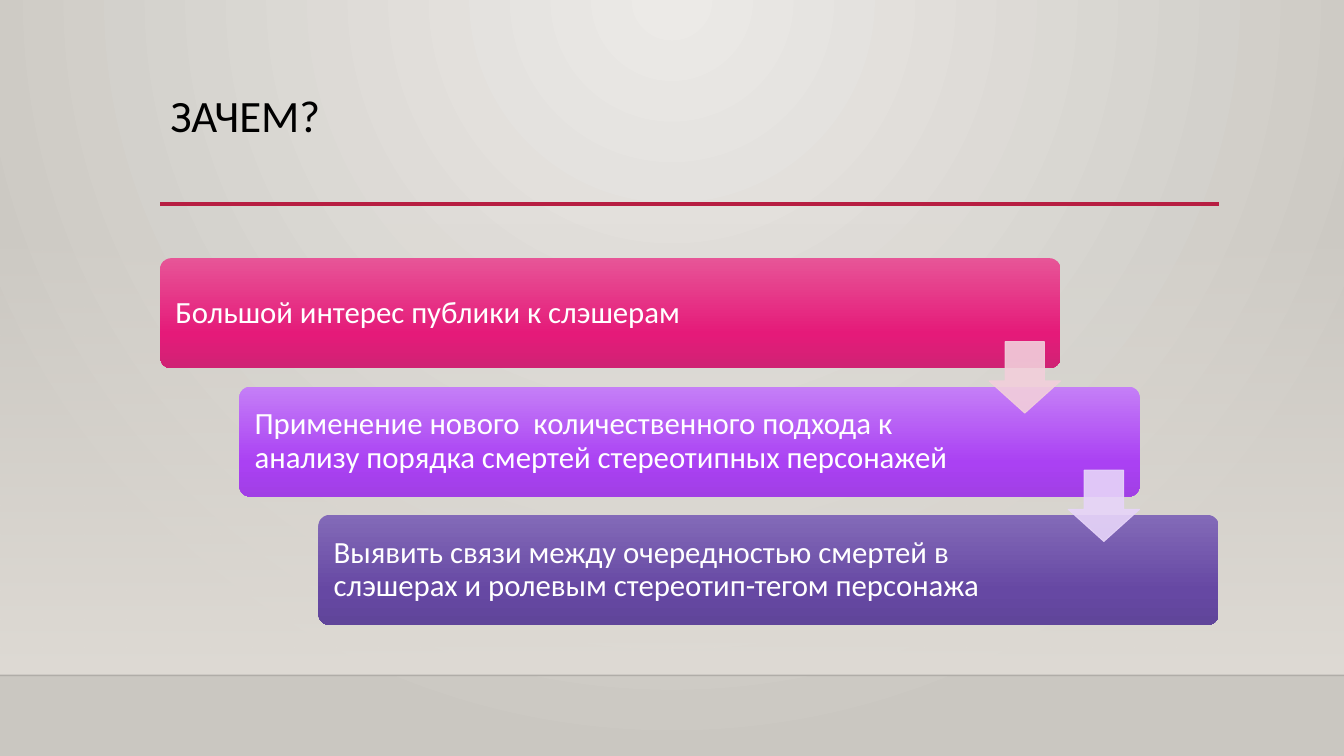
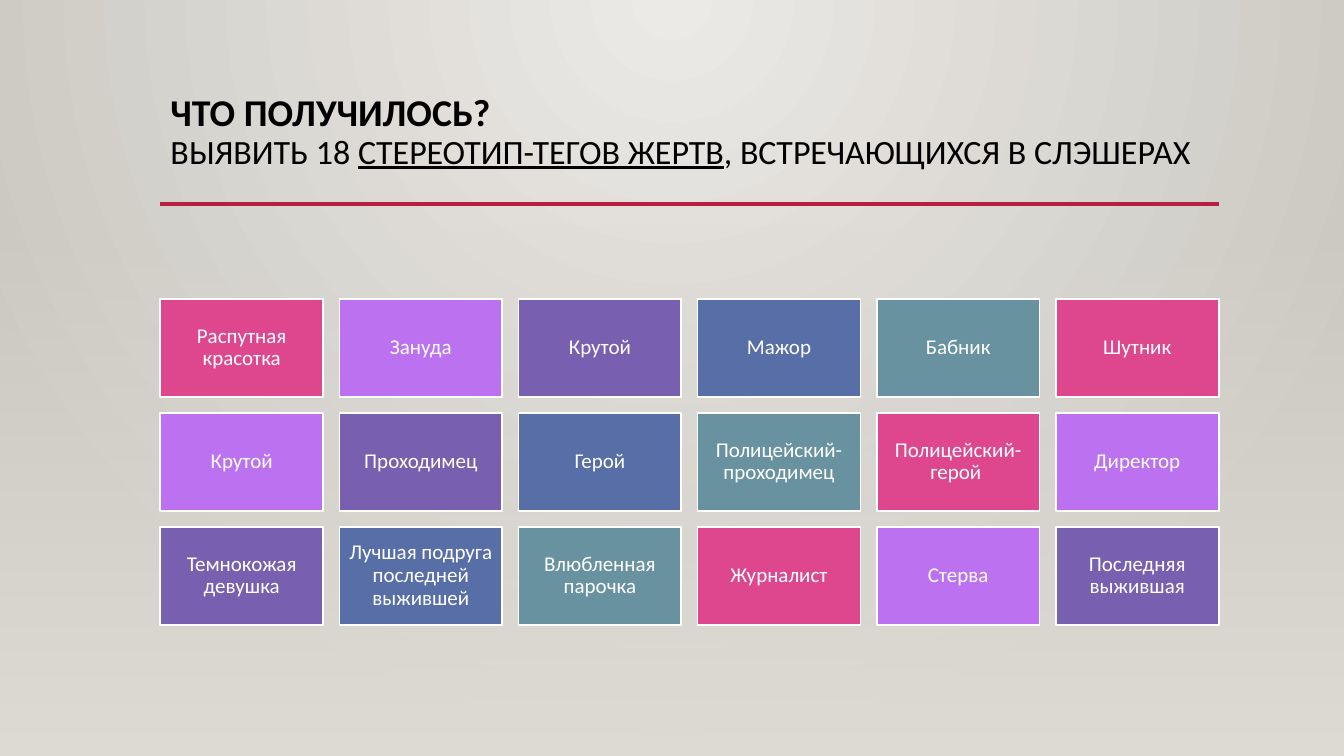
from dataclasses import dataclass

from lxml import etree
from pptx import Presentation
from pptx.dml.color import RGBColor
from pptx.enum.shapes import MSO_CONNECTOR, MSO_SHAPE
from pptx.enum.text import MSO_ANCHOR, MSO_AUTO_SIZE, PP_ALIGN
from pptx.oxml.ns import qn
from pptx.util import Pt

RECTANGLE = MSO_SHAPE.RECTANGLE
ROUNDED = MSO_SHAPE.ROUNDED_RECTANGLE
DOWN_ARROW = MSO_SHAPE.DOWN_ARROW
STRAIGHT = MSO_CONNECTOR.STRAIGHT
TOP, MIDDLE = MSO_ANCHOR.TOP, MSO_ANCHOR.MIDDLE
LEFT, CENTER = PP_ALIGN.LEFT, PP_ALIGN.CENTER
NO_AUTOFIT = MSO_AUTO_SIZE.NONE
TITLE_ONLY = 5


@dataclass(frozen=True)
class Theme:
    font: str = "Calibri"
    ink: str = "000000"
    white: str = "FFFFFF"
    rule: str = "B71E42"
    haze: str = "DFDBD5"
    backdrop: tuple = (("ECEAE7", 0), ("CAC7C1", 100))
    steps: tuple = (
        ("E75597", "E51A79", "CF2374"),
        ("C57FF7", "AA41F3", "A13FE5"),
        ("836AB8", "6648A3", "60459A"),
    )
    arrows: tuple = ("F2CFDB", "E7D5F9")
    tiles: tuple = ("DE478E", "BC72F0", "795FAF", "586EA6", "6892A0")
    title_size: float = 32
    heading_size: float = 27
    subtitle_size: float = 24.3
    step_size: float = 22
    tile_size: float = 15
    line_spacing: float = 0.9


THEME = Theme()
SLIDE_WIDTH, SLIDE_HEIGHT = 960, 540
MARGIN, CONTENT_WIDTH = 114.5, 756
FLOOR = 482.4

STEPS = (
    "Большой интерес публики к слэшерам",
    "Применение нового  количественного подхода к анализу порядка смертей стереотипных персонажей",
    "Выявить связи между очередностью смертей в слэшерах и ролевым стереотип-тегом персонажа",
)
TAGS = (
    "Распутная красотка", "Зануда", "Крутой", "Мажор", "Бабник", "Шутник",
    "Крутой", "Проходимец", "Герой", "Полицейский-проходимец",
    "Полицейский-герой ", "Директор",
    "Темнокожая девушка", "Лучшая подруга последней выжившей",
    "Влюбленная парочка", "Журналист", "Стерва", "Последняя выжившая",
)


def rgb(color):
    return RGBColor.from_string(color)


def set_alpha(element, percent):
    for color in element.iter(qn("a:srgbClr")):
        etree.SubElement(color, qn("a:alpha"), val=str(percent * 1000))


def apply_gradient(fill, parent, stops, radial=False):
    fill.solid()
    fill.fore_color.rgb = rgb(THEME.white)
    gradient = etree.Element(qn("a:gradFill"), rotWithShape="1")
    stop_list = etree.SubElement(gradient, qn("a:gsLst"))
    for color, position, *alpha in stops:
        stop = etree.SubElement(stop_list, qn("a:gs"), pos=str(position * 1000))
        etree.SubElement(stop, qn("a:srgbClr"), val=color)
        for percent in alpha:
            set_alpha(stop, percent)
    if radial:
        focus = etree.SubElement(gradient, qn("a:path"), path="circle")
        etree.SubElement(focus, qn("a:fillToRect"), l="43000", t="0", r="43000", b="100000")
    else:
        etree.SubElement(gradient, qn("a:lin"), ang="5400000", scaled="0")
    parent.replace(parent.find(qn("a:solidFill")), gradient)


def add_line(slide, left, right, y, color, width, alpha=None):
    line = slide.shapes.add_connector(STRAIGHT, Pt(left), Pt(y), Pt(right), Pt(y))
    line.line.color.rgb = rgb(color)
    line.line.width = Pt(width)
    properties = line.element.spPr
    if alpha is not None:
        set_alpha(properties, alpha)
    etree.SubElement(properties, qn("a:effectLst"))


def add_block(slide, kind, left, top, width, height, color=None, outline=None, line_width=0):
    shape = slide.shapes.add_shape(kind, Pt(left), Pt(top), Pt(width), Pt(height))
    shape.shadow.inherit = False
    if color:
        shape.fill.solid()
        shape.fill.fore_color.rgb = rgb(color)
    if outline:
        shape.line.color.rgb = rgb(outline)
        shape.line.width = Pt(line_width)
    else:
        shape.line.fill.background()
    return shape


def add_run(paragraph, text, size, color, bold=False, underline=False):
    run = paragraph.add_run()
    run.text = text
    font = run.font
    font.name = THEME.font
    font.size = Pt(size)
    font.bold = bold
    font.underline = underline
    font.color.rgb = rgb(color)


def format_frame(shape, anchor, alignment, left, right, vertical):
    frame = shape.text_frame
    frame.word_wrap = True
    frame.auto_size = NO_AUTOFIT
    frame.vertical_anchor = anchor
    frame.margin_left, frame.margin_right = Pt(left), Pt(right)
    frame.margin_top = frame.margin_bottom = Pt(vertical)
    paragraph = frame.paragraphs[0]
    paragraph.alignment = alignment
    paragraph.line_spacing = THEME.line_spacing
    return paragraph


def add_title_slide(presentation, haze_bottom):
    slide = presentation.slides.add_slide(presentation.slide_layouts[TITLE_ONLY])
    background = slide.background.fill
    background.solid()
    apply_gradient(background, slide.element.find(".//" + qn("p:bgPr")), THEME.backdrop, radial=True)
    haze_top = 159.1
    haze = add_block(slide, RECTANGLE, 0, haze_top, SLIDE_WIDTH, haze_bottom - haze_top)
    apply_gradient(haze.fill, haze.element.spPr, ((THEME.haze, 0, 0), (THEME.haze, 100)))
    add_line(slide, MARGIN, MARGIN + CONTENT_WIDTH, 145.8, THEME.rule, 2.5)
    title = slide.shapes.title
    title.left, title.top = Pt(MARGIN), Pt(63.4)
    title.width, title.height = Pt(CONTENT_WIDTH), Pt(82.8)
    return slide, format_frame(title, TOP, LEFT, 7.2, 7.2, 3.6)


def add_steps(slide):
    width, height, arrow_size = 643, 78.6, 51
    indent = (CONTENT_WIDTH - width) / (len(STEPS) - 1)
    top, pitch = 184.4, 91.7
    for index, (text, colors) in enumerate(zip(STEPS, THEME.steps)):
        card = add_block(slide, ROUNDED, MARGIN + index * indent, top + index * pitch, width, height)
        card.adjustments[0] = 0.1
        apply_gradient(card.fill, card.element.spPr, zip(colors, (0, 69, 100)))
        paragraph = format_frame(card, MIDDLE, LEFT, 8.6, 116.6, 8.6)
        add_run(paragraph, text, THEME.step_size, THEME.white)
    for index, color in enumerate(THEME.arrows):
        right = MARGIN + index * indent + width
        gap_middle = top + index * pitch + (height + pitch) / 2
        arrow = add_block(slide, DOWN_ARROW, right - arrow_size, gap_middle - arrow_size / 2,
                          arrow_size, arrow_size, color, color, 0.75)
        arrow.adjustments[0], arrow.adjustments[1] = 0.55, 0.45
        set_alpha(arrow.element.spPr, 90)


def add_tiles(slide):
    columns, top = 6, 213.6
    width = CONTENT_WIDTH / (columns + 0.1 * (columns - 1))
    height, gap = 0.6 * width, 0.1 * width
    for index, text in enumerate(TAGS):
        row, column = divmod(index, columns)
        tile = add_block(slide, RECTANGLE, MARGIN + column * (width + gap), top + row * (height + gap),
                         width, height, THEME.tiles[index % len(THEME.tiles)], THEME.white, 1.25)
        paragraph = format_frame(tile, MIDDLE, CENTER, 4.5, 4.5, 4.5)
        add_run(paragraph, text, THEME.tile_size, THEME.white)


def build_reasons(presentation):
    slide, title = add_title_slide(presentation, FLOOR)
    add_line(slide, 0, SLIDE_WIDTH, FLOOR, THEME.ink, 1, alpha=20)
    add_run(title, "ЗАЧЕМ? ", THEME.title_size, THEME.ink)
    add_steps(slide)


def build_results(presentation):
    slide, title = add_title_slide(presentation, SLIDE_HEIGHT)
    add_run(title, "ЧТО ПОЛУЧИЛОСЬ? ", THEME.heading_size, THEME.ink, bold=True)
    title.add_line_break()
    add_run(title, "ВЫЯВИТЬ 18 ", THEME.subtitle_size, THEME.ink)
    add_run(title, "СТЕРЕОТИП-ТЕГОВ ЖЕРТВ", THEME.subtitle_size, THEME.ink, underline=True)
    add_run(title, ", ВСТРЕЧАЮЩИХСЯ В СЛЭШЕРАХ", THEME.subtitle_size, THEME.ink)
    add_tiles(slide)


def main():
    presentation = Presentation()
    presentation.slide_width = Pt(SLIDE_WIDTH)
    presentation.slide_height = Pt(SLIDE_HEIGHT)
    build_reasons(presentation)
    build_results(presentation)
    presentation.save("out.pptx")


main()
